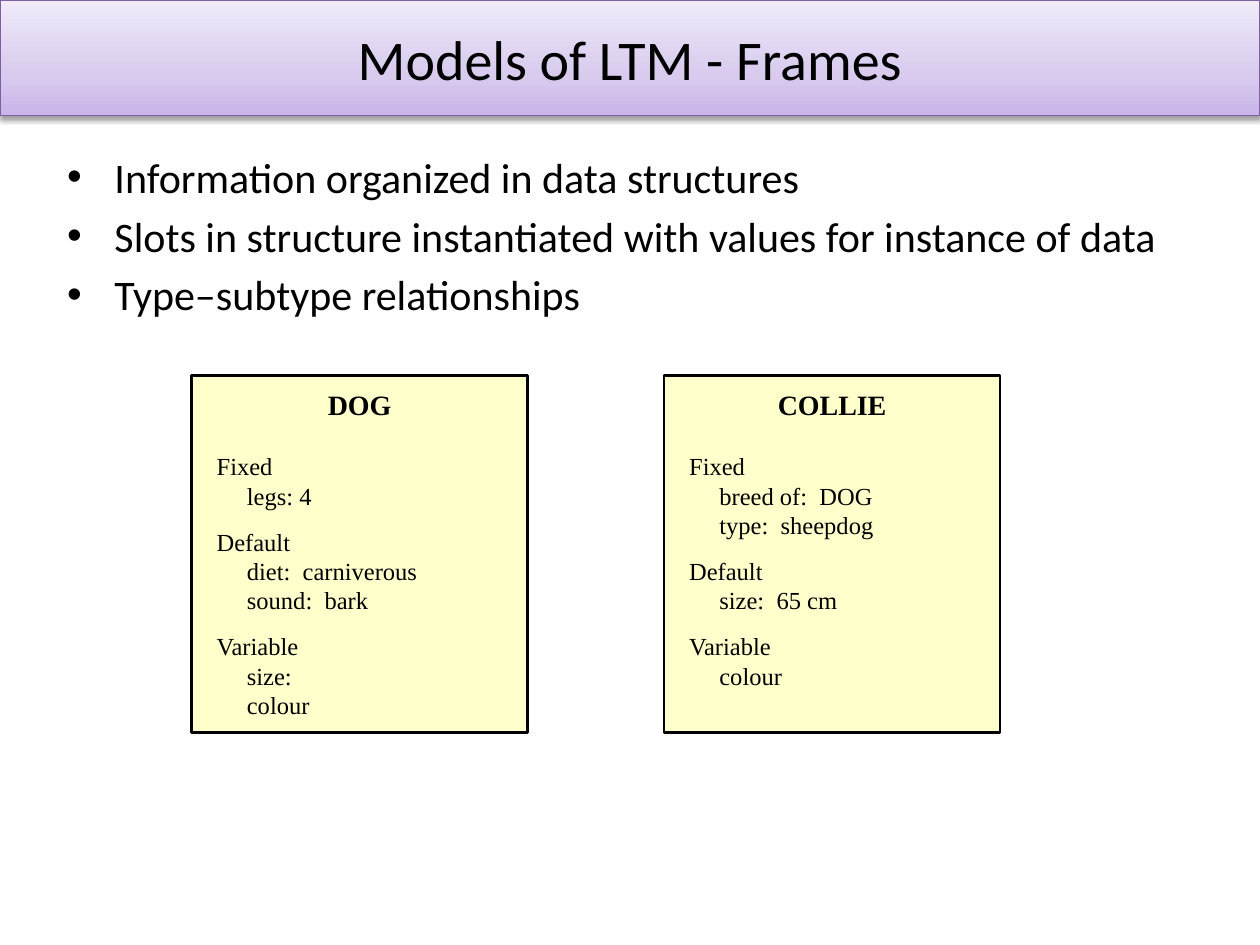
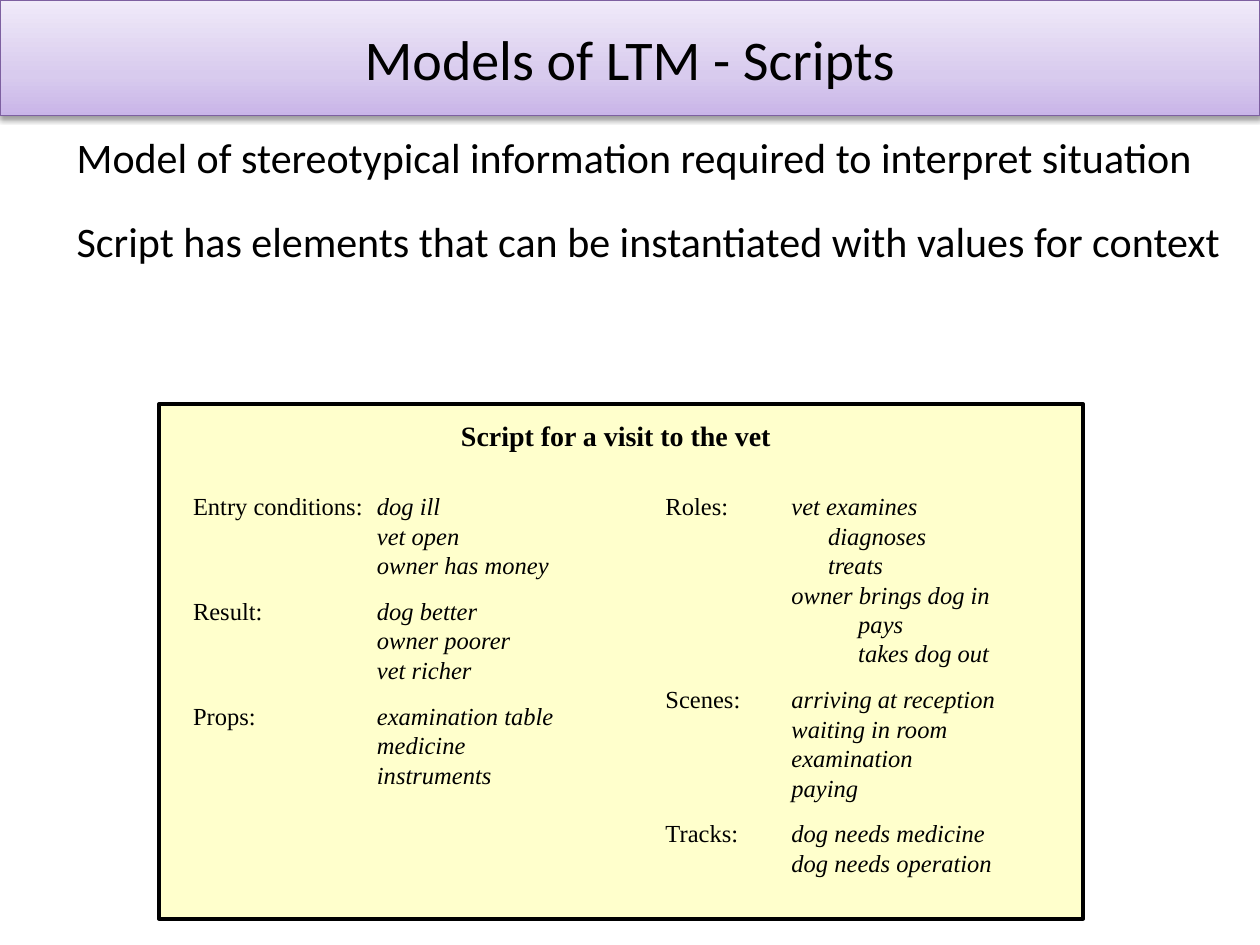
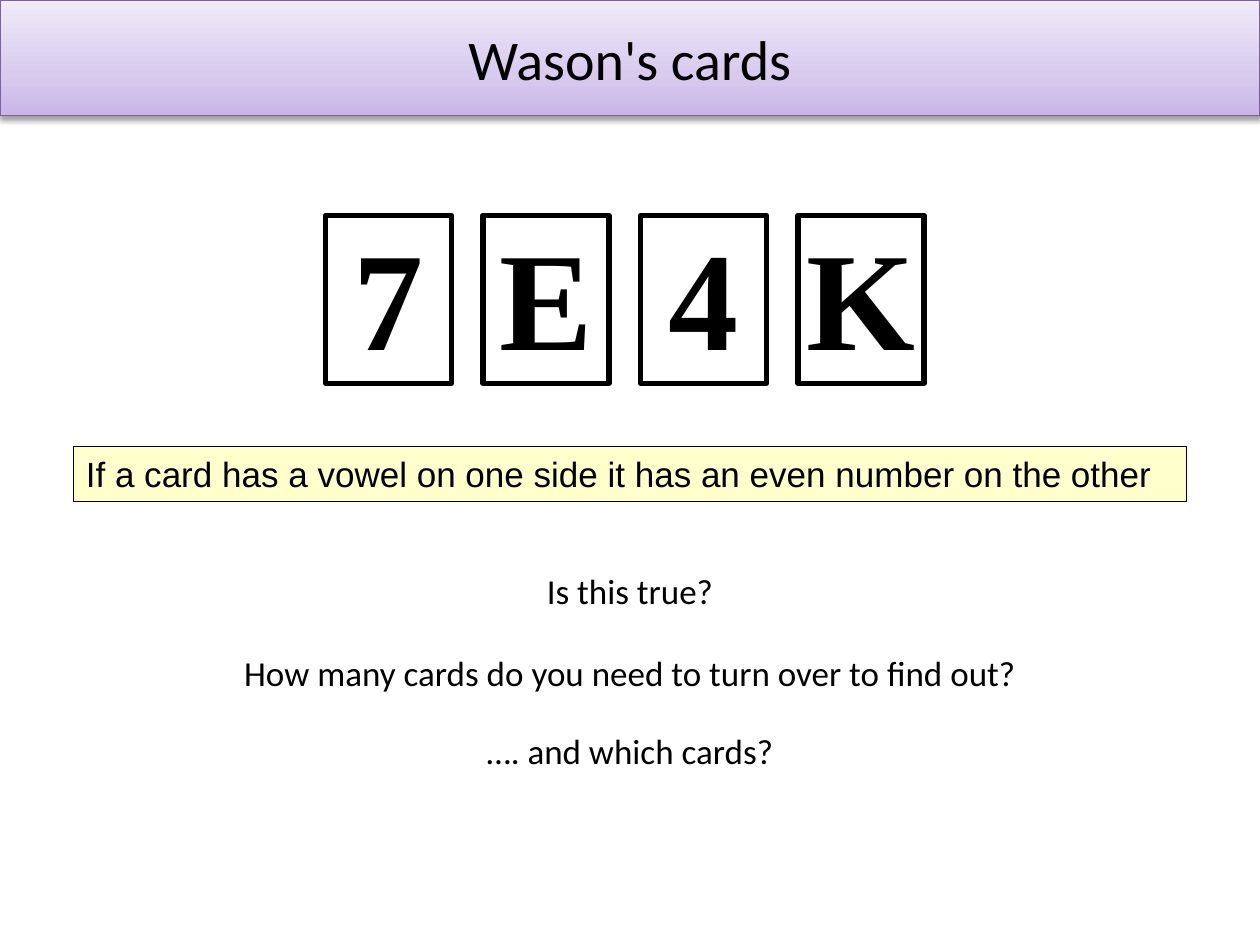
from copy import deepcopy
from dataclasses import dataclass

from lxml.etree import SubElement
from pptx import Presentation
from pptx.dml.color import RGBColor
from pptx.enum.shapes import MSO_SHAPE
from pptx.enum.text import MSO_ANCHOR, MSO_AUTO_SIZE, PP_ALIGN
from pptx.oxml.ns import qn
from pptx.util import Emu, Inches, Pt

# Grid: 120 columns by 90 rows of equal square cells
SLIDE_WIDTH, SLIDE_HEIGHT = Inches(10), Inches(7.5)
COLUMNS, ROWS = 120, 90

BLACK, CREAM, PURPLE = "000000", "FFFFCC", "7D60A0"
BAND_STOPS = [(0, "C9B5E8"), (0.35, "D8CBEE"), (1, "F0EAF9")]
SANS, SERIF, RULE_FONT = "Calibri", "Times New Roman", "Arial"
HEADING_SIZE, DETAIL_SIZE = 16, 14
HEADING_GAP, SECTION_GAP = 17, 9.4  # points


@dataclass(frozen=True)
class Area:
    column: float
    row: float
    columns: float
    rows: float

    def box(self) -> tuple[Emu, Emu, Emu, Emu]:
        cell_width, cell_height = SLIDE_WIDTH / COLUMNS, SLIDE_HEIGHT / ROWS
        return (Emu(round(self.column * cell_width)), Emu(round(self.row * cell_height)),
                Emu(round(self.columns * cell_width)), Emu(round(self.rows * cell_height)))


@dataclass(frozen=True)
class Section:
    label: str
    entries: list[str]


@dataclass(frozen=True)
class Frame:
    concept: str
    sections: list[Section]


@dataclass(frozen=True)
class ScriptColumn:
    area: Area
    tab_stops: list[float]  # inches
    sections: list[Section]


BAND = Area(0, 0, 120, 11)

# Content
FRAMES = [
    Frame("DOG", [
        Section("Fixed", ["legs: 4"]),
        Section("Default", ["diet:  carniverous", "sound:  bark"]),
        Section("Variable", ["size:", "colour"]),
    ]),
    Frame("COLLIE", [
        Section("Fixed", ["breed of:  DOG", "type:  sheepdog"]),
        Section("Default", ["size:  65 cm"]),
        Section("Variable", ["colour"]),
    ]),
]

# A leading tab moves an entry to the next tab stop
VET_SCRIPT = [
    ScriptColumn(Area(17.2, 46.2, 39, 29.5), [1.46], [
        Section("Entry conditions:", ["dog ill", "vet open", "owner has money"]),
        Section("Result:", ["dog better", "owner poorer", "vet richer"]),
        Section("Props:", ["examination table", "medicine", "instruments"]),
    ]),
    ScriptColumn(Area(62.2, 46.2, 33.8, 38), [1, 1.29, 1.53], [
        Section("Roles:", ["vet examines", "\tdiagnoses", "\ttreats",
                           "owner brings dog in", "\t\tpays", "\t\ttakes dog out"]),
        Section("Scenes:", ["arriving at reception", "waiting in room",
                            "examination", "paying"]),
        Section("Tracks:", ["dog needs medicine", "dog needs operation"]),
    ]),
]


# Shared helpers
def rgb(color: str) -> RGBColor:
    return RGBColor.from_string(color)


def style(paragraph, font: str, size: float, bold: bool = False) -> None:
    for run in paragraph.runs:
        run.font.name, run.font.size = font, Pt(size)
        run.font.bold = bold
        run.font.color.rgb = rgb(BLACK)


def place(shape, area: Area) -> None:
    shape.left, shape.top, shape.width, shape.height = area.box()


def next_paragraph(text_frame):
    """Give the first paragraph while it is unused, then new ones."""
    first = text_frame.paragraphs[0]
    return text_frame.add_paragraph() if first.runs else first


def add_box(shapes, area: Area, fill: str | None = None, line_width: float = 0):
    box = shapes.add_shape(MSO_SHAPE.RECTANGLE, *area.box())
    box.shadow.inherit = False
    if fill:
        box.fill.solid()
        box.fill.fore_color.rgb = rgb(fill)
    else:
        box.fill.background()
    if line_width:
        box.line.color.rgb = rgb(BLACK)
        box.line.width = Pt(line_width)
    else:
        box.line.fill.background()
    box.text_frame.word_wrap = True
    box.text_frame.vertical_anchor = MSO_ANCHOR.TOP
    return box


def add_line(text_frame, text: str, size: float, font: str = SERIF, bold: bool = False,
             align: PP_ALIGN = PP_ALIGN.LEFT, before: float = 0):
    paragraph = next_paragraph(text_frame)
    paragraph.text = text
    paragraph.alignment = align
    paragraph.space_before = Pt(before)
    style(paragraph, font, size, bold)
    return paragraph


def indent(paragraph, left: float, first: float = 0) -> None:
    properties = paragraph._p.get_or_add_pPr()
    properties.set("marL", str(Inches(left)))
    properties.set("indent", str(Inches(first)))


def style_band(title) -> None:
    place(title, BAND)
    title.fill.gradient()
    title.fill.gradient_angle = 90
    stop_list = title._element.spPr.find(".//" + qn("a:gsLst"))
    stop_list.append(deepcopy(stop_list[0]))
    for stop, (position, color) in zip(title.fill.gradient_stops, BAND_STOPS):
        stop.position = position
        stop.color.rgb = rgb(color)
    title.line.color.rgb = rgb(PURPLE)
    title.line.width = Pt(0.75)
    # Soft shadow under the band
    effects = SubElement(title._element.spPr, qn("a:effectLst"))
    shadow = SubElement(effects, qn("a:outerShdw"), blurRad=str(Pt(3.1)), dist=str(Pt(1.6)),
                        dir="5400000", rotWithShape="0")
    shade = SubElement(shadow, qn("a:srgbClr"), val=BLACK)
    SubElement(shade, qn("a:alpha"), val="38000")


def add_slide(deck, heading: str, body_area: Area, points: list[str], size: float):
    slide = deck.slides.add_slide(deck.slide_layouts[1])
    title, body = slide.shapes.title, slide.placeholders[1]
    style_band(title)
    title.text_frame.text = heading
    title.text_frame.auto_size = MSO_AUTO_SIZE.NONE
    title.text_frame.vertical_anchor = MSO_ANCHOR.MIDDLE
    title.text_frame.paragraphs[0].alignment = PP_ALIGN.CENTER
    style(title.text_frame.paragraphs[0], SANS, 32)

    place(body, body_area)
    body.text_frame.text = "\n".join(points)
    body.text_frame.auto_size = MSO_AUTO_SIZE.NONE
    for point in body.text_frame.paragraphs:
        style(point, SANS, size)
    return slide, body.text_frame.paragraphs


def space_without_bullets(points, gaps: list[float]) -> None:
    for point in points:
        SubElement(point._p.get_or_add_pPr(), qn("a:buNone"))
    for point, gap in zip(points[1:], gaps):
        point.space_before = Pt(gap)


# Slide 1: frames
def draw_frame(shapes, area: Area, frame: Frame) -> None:
    text = add_box(shapes, area, CREAM, 1.5).text_frame
    add_line(text, frame.concept, HEADING_SIZE, bold=True, align=PP_ALIGN.CENTER)
    for number, section in enumerate(frame.sections):
        gap = SECTION_GAP if number else HEADING_GAP
        indent(add_line(text, section.label, DETAIL_SIZE, before=gap), 0.1)
        for slot in section.entries:
            indent(add_line(text, slot, DETAIL_SIZE), 0.34)
    text.margin_top = Inches(0.1)


def build_frames(deck) -> None:
    slide, _ = add_slide(deck, "Models of LTM - Frames", Area(5.2, 13.8, 110.5, 21), [
        "Information organized in data structures",
        "Slots in structure instantiated with values for instance of data",
        "Type–subtype relationships",
    ], 24)
    for number, frame in enumerate(FRAMES):
        draw_frame(slide.shapes, Area(18.25 + 45 * number, 35.75, 32, 34), frame)


# Slide 2: scripts
def draw_script_column(shapes, column: ScriptColumn) -> None:
    text = add_box(shapes, column.area, CREAM).text_frame
    text.margin_right = 0
    for section_number, section in enumerate(column.sections):
        for number, entry in enumerate(section.entries):
            starts_section = number == 0
            gap = SECTION_GAP if starts_section and section_number else 0
            label = section.label if starts_section else ""
            paragraph = add_line(text, label + "\t", DETAIL_SIZE, before=gap)
            paragraph.add_run().text = entry
            style(paragraph, SERIF, DETAIL_SIZE)
            paragraph.runs[-1].font.italic = True
            tabs = SubElement(paragraph._p.get_or_add_pPr(), qn("a:tabLst"))
            for stop in column.tab_stops:
                SubElement(tabs, qn("a:tab"), pos=str(Inches(stop)), algn="l")


def build_scripts(deck) -> None:
    slide, points = add_slide(deck, "Models of LTM - Scripts", Area(6.1, 11.9, 113.9, 14), [
        "Model of stereotypical information required to interpret situation",
        "Script has elements that can be instantiated with values for context",
    ], 24)
    space_without_bullets(points, [19.3])
    panel = slide.shapes.add_group_shape().shapes
    add_box(panel, Area(15.15, 38.5, 88, 49), CREAM, 2.25)
    heading = add_box(panel, Area(42.15, 39.25, 33, 4.4), CREAM)
    add_line(heading.text_frame, "Script for a visit to the vet", HEADING_SIZE,
             bold=True, align=PP_ALIGN.CENTER)
    for column in VET_SCRIPT:
        draw_script_column(panel, column)


# Slide 3: cards
def build_cards(deck) -> None:
    slide, points = add_slide(deck, "Wason's cards", Area(9, 53.65, 102, 23), [
        "Is this true?",
        "How many cards do you need to turn over to find out?",
        "…. and which cards?",
    ], 20)
    space_without_bullets(points, [23, 20.2])
    for question in points:
        indent(question, 0)
        question.alignment = PP_ALIGN.CENTER

    rule = add_box(slide.shapes, Area(7, 42.5, 106, 5.25), CREAM, 0.25)
    add_line(rule.text_frame,
             "If a card has a vowel on one side it has an even number on the other",
             20, font=RULE_FONT)

    cards = slide.shapes.add_group_shape().shapes
    for number, symbol in enumerate("7E4K"):
        text = add_box(cards, Area(31 + 15 * number, 20.5, 12, 16), line_width=3).text_frame
        text.vertical_anchor = MSO_ANCHOR.MIDDLE
        text.margin_left = text.margin_right = text.margin_top = 0
        text.margin_bottom = Inches(0.08)
        add_line(text, symbol, 80, bold=True, align=PP_ALIGN.CENTER)


def main() -> None:
    deck = Presentation()
    deck.slide_width, deck.slide_height = SLIDE_WIDTH, SLIDE_HEIGHT
    build_frames(deck)
    build_scripts(deck)
    build_cards(deck)
    deck.save("out.pptx")


if __name__ == "__main__":
    main()
